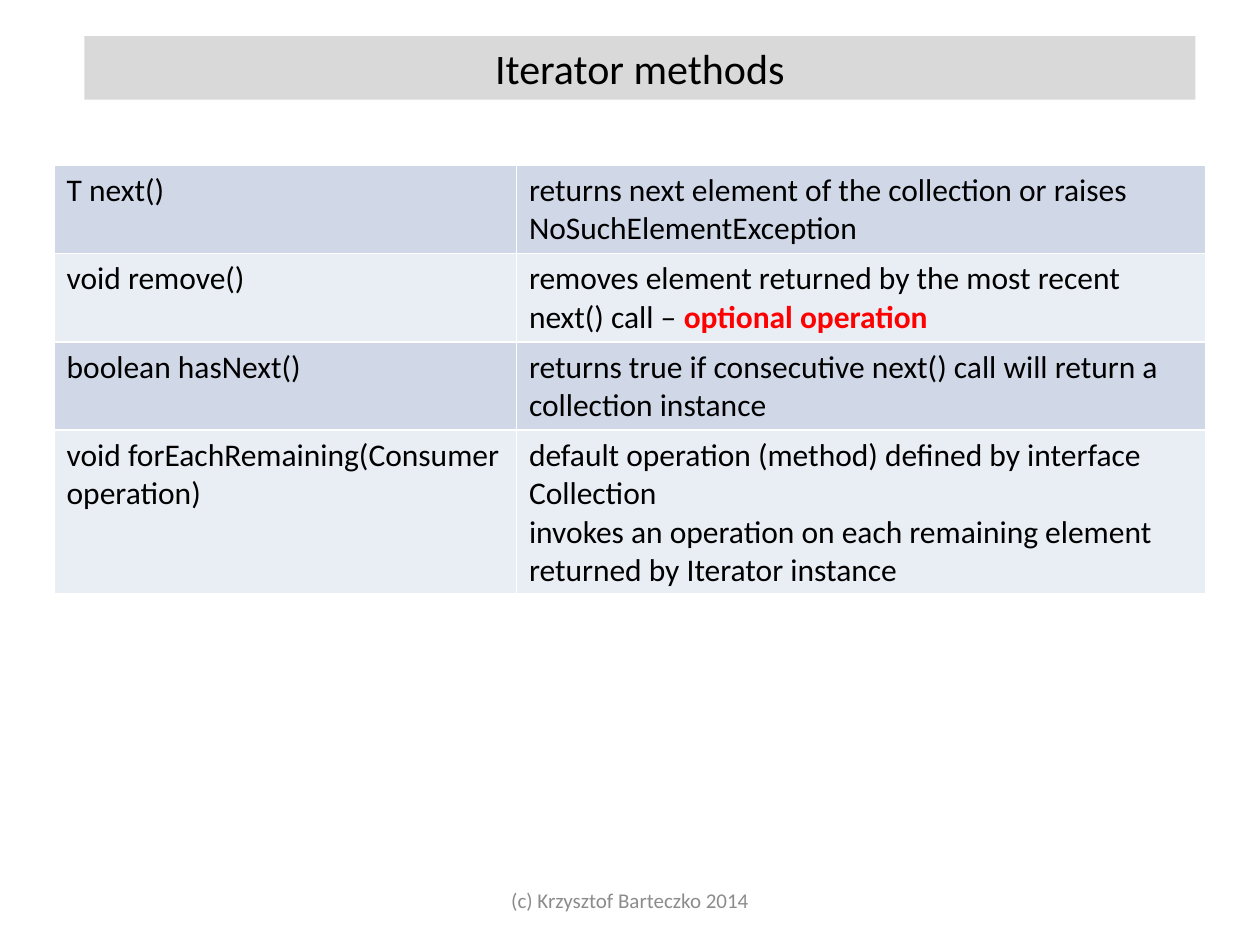
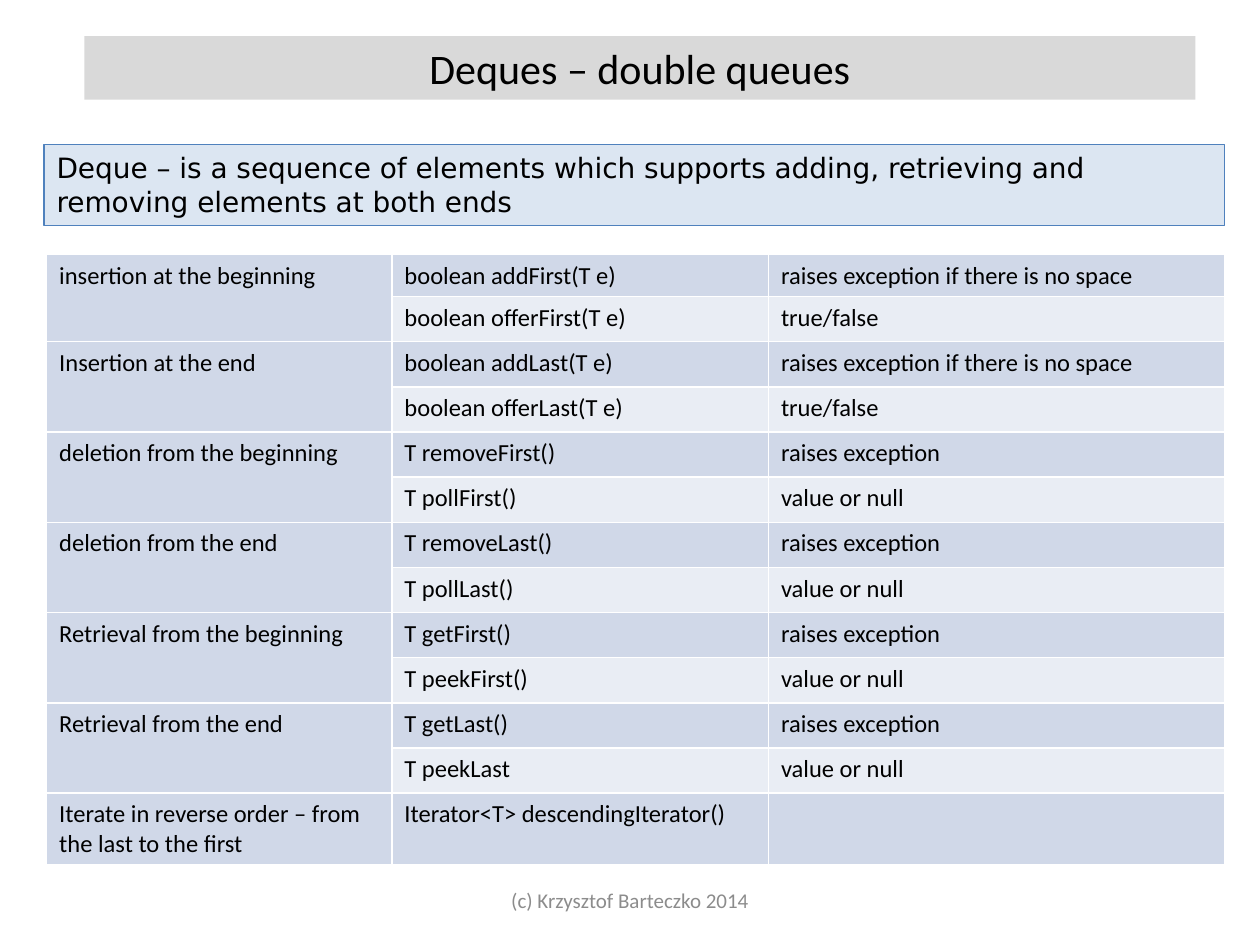
from lxml import etree
from pptx import Presentation
from pptx.dml.color import RGBColor
from pptx.enum.shapes import MSO_SHAPE
from pptx.enum.text import MSO_ANCHOR, MSO_AUTO_SIZE, PP_ALIGN
from pptx.oxml.ns import qn
from pptx.util import Cm, Pt

RECTANGLE = MSO_SHAPE.RECTANGLE
LEFT, CENTER = PP_ALIGN.LEFT, PP_ALIGN.CENTER
TOP, MIDDLE = MSO_ANCHOR.TOP, MSO_ANCHOR.MIDDLE
GROW = MSO_AUTO_SIZE.SHAPE_TO_FIT_TEXT

BLACK = RGBColor(0x00, 0x00, 0x00)
WHITE = RGBColor(0xFF, 0xFF, 0xFF)
RED = RGBColor(0xFF, 0x00, 0x00)
FOOTER_GRAY = RGBColor(0x8C, 0x8C, 0x8C)
TITLE_GRAY = RGBColor(0xD9, 0xD9, 0xD9)
NOTE_BLUE = RGBColor(0xDC, 0xE6, 0xF2)
NOTE_EDGE = RGBColor(0x4F, 0x81, 0xBD)
BANDS = RGBColor(0xD0, 0xD8, 0xE8), RGBColor(0xE9, 0xED, 0xF4)

BODY_FONT = "Calibri"
NOTE_FONT = "DejaVu Sans"
FOOTER = "(c) Krzysztof Barteczko 2014"

ITERATOR_METHODS = [
    ("T next()", "returns next element of the collection or raises NoSuchElementException"),
    ("void remove()",
     "removes element returned by the most recent next() call – **optional operation**"),
    ("boolean hasNext()",
     "returns true if consecutive next() call will return a collection instance"),
    ("void forEachRemaining(Consumer operation)",
     "default operation (method) defined by interface Collection\n"
     "invokes an operation on each remaining element returned by Iterator instance"),
]

NO_SPACE = "raises exception if there is no space"
# Purpose, raising method, its failure, quiet method, its result
DEQUE_OPERATIONS = [
    ("insertion at the beginning", "boolean addFirst(T e)", NO_SPACE,
     "boolean offerFirst(T e)", "true/false"),
    ("Insertion at the end", "boolean addLast(T e)", NO_SPACE,
     "boolean offerLast(T e)", "true/false"),
    ("deletion from the beginning", "T removeFirst()", "raises exception",
     "T pollFirst()", "value or null"),
    ("deletion from the end", "T removeLast()", "raises exception",
     "T pollLast()", "value or null"),
    ("Retrieval from the beginning", "T getFirst()", "raises exception",
     "T peekFirst()", "value or null"),
    ("Retrieval from the end", "T getLast()", "raises exception",
     "T peekLast", "value or null"),
]
REVERSE_ITERATION = ("Iterate in reverse order – from the last to the first",
                     "Iterator<T> descendingIterator()", "")


def write_text(frame, text, size=18, font=BODY_FONT, color=BLACK, align=LEFT):
    """Fill a text frame; line breaks start paragraphs, ** encloses red bold spans."""
    for number, line in enumerate(text.split("\n")):
        para = frame.add_paragraph() if number else frame.paragraphs[0]
        para.alignment = align
        for position, words in enumerate(line.split("**")):
            if not words:
                continue
            span = para.add_run()
            span.text = words
            strong = position % 2 == 1
            span.font.name = font
            span.font.size = Pt(size)
            span.font.bold = strong
            span.font.color.rgb = RED if strong else color


def outline_cell(cell):
    properties = cell._tc.get_or_add_tcPr()
    for side in ("lnL", "lnR", "lnT", "lnB"):
        line = etree.SubElement(properties, qn(f"a:{side}"), w=str(Pt(1)))
        fill = etree.SubElement(line, qn("a:solidFill"))
        etree.SubElement(fill, qn("a:srgbClr"), val=str(WHITE))


class Lecture:
    """Shared style of the deck, together with the page being drawn."""

    def __init__(self):
        self.deck = Presentation()
        self.deck.slide_width, self.deck.slide_height = Cm(25.4), Cm(19.05)
        self.page = None

    def new_page(self, title):
        self.page = self.deck.slides.add_slide(self.deck.slide_layouts[6])
        self.footer()
        self.band(title, 1.7, 0.73, 22.4, 1.28, TITLE_GRAY, size=24, align=CENTER)

    def footer(self):
        box = self.page.shapes.add_textbox(Cm(8.68), Cm(17.65), Cm(8.04), Cm(1.01))
        box.text_frame.word_wrap = True
        box.text_frame.vertical_anchor = MIDDLE
        write_text(box.text_frame, FOOTER, size=12, color=FOOTER_GRAY, align=CENTER)

    def band(self, text, left, top, width, height, fill, edge=None, **text_format):
        box = self.page.shapes.add_shape(RECTANGLE, Cm(left), Cm(top), Cm(width), Cm(height))
        box.shadow.inherit = False
        box.fill.solid()
        box.fill.fore_color.rgb = fill
        if edge is None:
            box.line.fill.background()
        else:
            box.line.color.rgb = edge
            box.line.width = Pt(0.75)
        frame = box.text_frame
        frame.word_wrap = True
        frame.auto_size = GROW
        frame.vertical_anchor = TOP
        write_text(frame, text, **text_format)

    def table(self, rows, left, top, widths, heights, size):
        """Draw a banded table and return it."""
        frame = self.page.shapes.add_table(len(rows), len(widths), Cm(left), Cm(top),
                                           Cm(sum(widths)), Cm(sum(heights)))
        table = frame.table
        table.first_row = table.horz_banding = False
        for column, width in zip(table.columns, widths):
            column.width = Cm(width)
        for number, (row, texts, height) in enumerate(zip(table.rows, rows, heights)):
            row.height = Cm(height)
            for cell, text in zip(row.cells, texts):
                outline_cell(cell)
                cell.fill.solid()
                cell.fill.fore_color.rgb = BANDS[number % 2]
                write_text(cell.text_frame, text, size=size)
        return table


def add_iterator_page(lecture):
    lecture.new_page("Iterator methods")
    lecture.table(ITERATOR_METHODS, 1.09, 3.33, widths=[9.32, 13.89],
                  heights=[1.78] * 3 + [3.3], size=18)


def add_deque_page(lecture):
    lecture.new_page("Deques – double queues")
    lecture.band("Deque – is a sequence of elements which supports adding, retrieving "
                 "and removing elements at both ends",
                 0.89, 2.92, 23.8, 1.63, NOTE_BLUE, NOTE_EDGE, size=16, font=NOTE_FONT)
    rows = []
    for purpose, raising, failure, quiet, result in DEQUE_OPERATIONS:
        rows += [(purpose, raising, failure), ("", quiet, result)]
    rows.append(REVERSE_ITERATION)
    table = lecture.table(rows, 0.94, 5.13, widths=[6.96, 7.59, 9.19],
                          heights=[0.84] + [0.91] * 11 + [1.42], size=14)
    for first in range(0, 2 * len(DEQUE_OPERATIONS), 2):
        table.cell(first, 0).merge(table.cell(first + 1, 0))


def main():
    lecture = Lecture()
    add_iterator_page(lecture)
    add_deque_page(lecture)
    lecture.deck.save("out.pptx")


if __name__ == "__main__":
    main()
